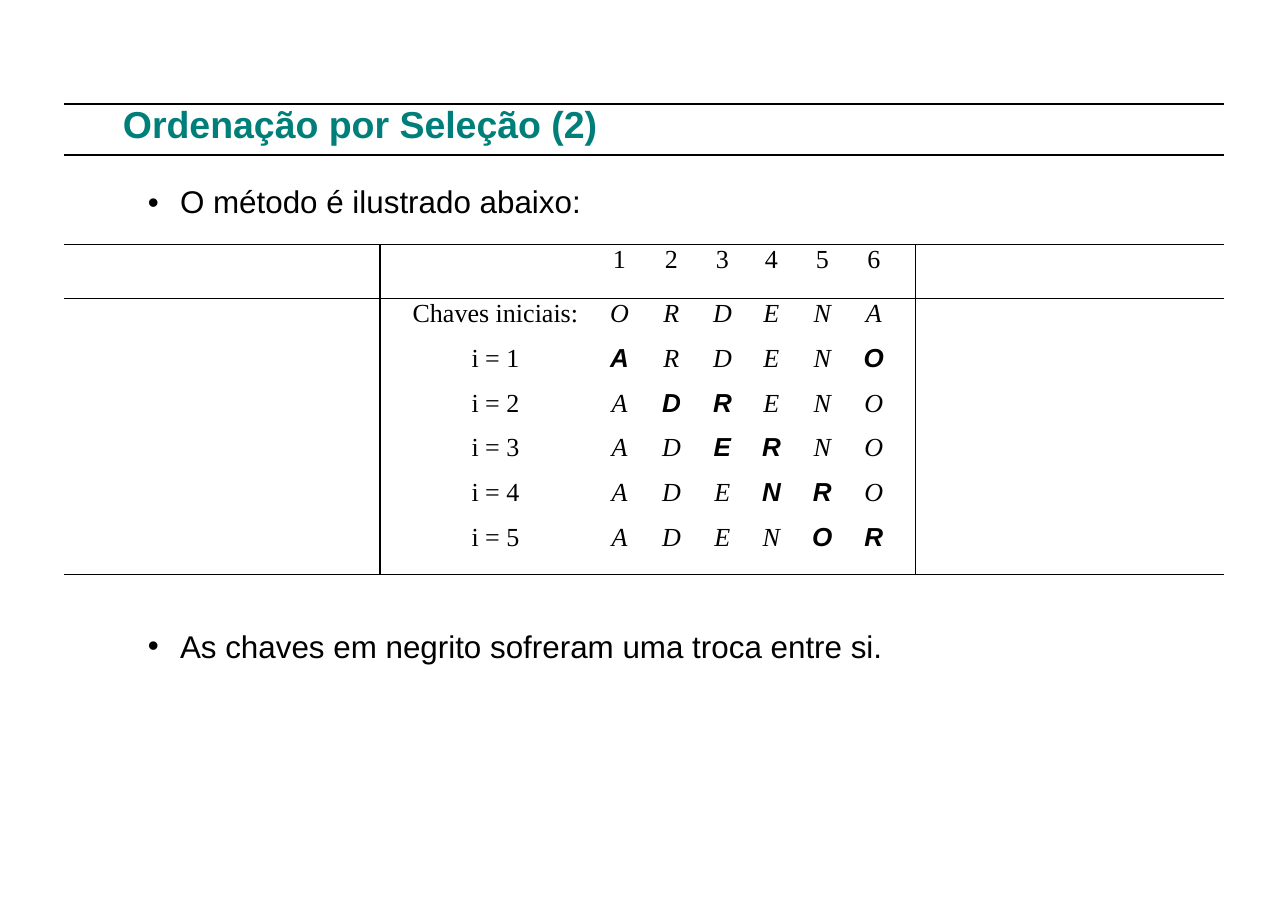
"""Builds the slide on selection sort with its trace table."""
from lxml import etree
from pptx import Presentation
from pptx.dml.color import RGBColor
from pptx.enum.shapes import MSO_CONNECTOR
from pptx.enum.text import MSO_ANCHOR, PP_ALIGN
from pptx.oxml.ns import qn
from pptx.util import Pt

STRAIGHT = MSO_CONNECTOR.STRAIGHT
TOP = MSO_ANCHOR.TOP
CENTER = PP_ALIGN.CENTER

BLACK = RGBColor(0x00, 0x00, 0x00)
TEAL = RGBColor(0x00, 0x7F, 0x7A)
SANS, SERIF = "Arial", "Times New Roman"

SCALE = 8298
TABLE_LEFT, TABLE_TOP = 64, 36
COLUMN_WIDTHS = [543, 39, 51, 51, 51, 51, 374]
ROW_HEIGHTS = [68, 51, 90, 54, 45, 45, 44, 45, 45, 52]
RIGHT_MARGINS = [0, 14, 0, 0, 4, 4, 326]
LABEL_INDENT = 320
TITLE_ROW, METHOD_ROW, TRACE_ROW = 1, 2, 3
THIN, THICK = 0.69, 1.73
EDGE_WEIGHTS = {1: THICK, 2: THICK, 3: THIN, 4: THIN, 10: THIN}

TRACE = [
    ("", "123456", ()),
    ("Chaves iniciais:", "ORDENA", ()),
    ("i = 1", "ARDENO", (1, 6)),
    ("i = 2", "ADRENO", (2, 3)),
    ("i = 3", "ADERNO", (3, 4)),
    ("i = 4", "ADENRO", (4, 5)),
    ("i = 5", "ADENOR", (5, 6)),
]


def px(length):
    """Turn whole pixels into EMU."""
    return length * SCALE


def style(paragraph, size, face, color=BLACK, bold=False, italic=False):
    """Set the font of a whole paragraph."""
    font = paragraph.font
    font.size, font.name = Pt(size), face
    font.bold, font.italic = bold, italic
    font.color.rgb = color


def clear_margins(holder):
    """Remove the inner margins of a text frame or cell."""
    holder.margin_left = holder.margin_right = 0
    holder.margin_top = holder.margin_bottom = 0
    holder.vertical_anchor = TOP


def add_divider(slide, x, top, bottom):
    """Draw a thin vertical line beside the keys."""
    divider = slide.shapes.add_connector(
        STRAIGHT, px(x), px(top), px(x), px(bottom))
    divider.line.color.rgb = BLACK
    divider.line.width = Pt(THIN)
    etree.SubElement(divider._element.spPr, qn("a:effectLst"))


def write_bullet(paragraph, text, indent):
    """Fill a paragraph with a bulleted statement."""
    paragraph.text = text
    properties = paragraph._p.get_or_add_pPr()
    properties.set("marL", str(px(indent)))
    properties.set("indent", str(px(-32)))
    etree.SubElement(properties, qn("a:buFont"), typeface=SANS)
    etree.SubElement(properties, qn("a:buChar"), char="•")
    style(paragraph, 20.5, SANS)


def set_borders(cell, row):
    """Rule the cell's top and bottom where the table has a line."""
    properties = cell._tc.get_or_add_tcPr()
    weights = {"lnL": None, "lnR": None,
               "lnT": EDGE_WEIGHTS.get(row), "lnB": EDGE_WEIGHTS.get(row + 1)}
    for side, weight in weights.items():
        line = etree.SubElement(properties, qn(f"a:{side}"))
        if weight:
            line.set("w", str(Pt(weight)))
            fill = etree.SubElement(line, qn("a:solidFill"))
            etree.SubElement(fill, qn("a:srgbClr"), val=str(BLACK))
        else:
            etree.SubElement(line, qn("a:noFill"))


def add_grid(slide):
    """Add the ruled, unfilled table that carries title, method and trace."""
    table = slide.shapes.add_table(
        len(ROW_HEIGHTS), len(COLUMN_WIDTHS), px(TABLE_LEFT), px(TABLE_TOP),
        px(sum(COLUMN_WIDTHS)), px(sum(ROW_HEIGHTS))).table
    table.first_row = table.horz_banding = False
    for column, width in zip(table.columns, COLUMN_WIDTHS):
        column.width = px(width)
    for index, (row, height) in enumerate(zip(table.rows, ROW_HEIGHTS)):
        row.height = px(height)
        for cell in row.cells:
            clear_margins(cell)
            set_borders(cell, index)
            cell.fill.background()
    return table


def write_title(cell, text):
    """Write the heading between the two thick rules."""
    cell.margin_left = px(59)
    cell.text = text
    heading = cell.text_frame.paragraphs[0]
    heading.line_spacing = Pt(27.9)
    style(heading, 24.5, SANS, TEAL, bold=True)


def write_trace(table):
    """Write the keys after each pass, with swapped keys in bold."""
    for row, (label, keys, swapped) in enumerate(TRACE):
        for column, text in enumerate([label, *keys]):
            cell = table.cell(TRACE_ROW + row, column)
            cell.margin_left = px(0 if column else LABEL_INDENT)
            cell.margin_right = px(RIGHT_MARGINS[column])
            cell.text = text
            entry = cell.text_frame.paragraphs[0]
            entry.alignment = CENTER
            bold = column in swapped
            style(entry, 17, SANS if bold else SERIF, bold=bold,
                  italic=row > 0 and column > 0)


def add_conclusion(slide, text):
    """Add the bulleted remark below the table."""
    box = slide.shapes.add_textbox(px(148), px(627), px(742), px(41))
    frame = box.text_frame
    frame.word_wrap = True
    clear_margins(frame)
    write_bullet(frame.paragraphs[0], text, 32)


def main():
    """Build and save the slide."""
    deck = Presentation()
    deck.slide_width, deck.slide_height = px(1288), px(910)
    slide = deck.slides.add_slide(deck.slide_layouts[6])
    trace_top = TABLE_TOP + sum(ROW_HEIGHTS[:TRACE_ROW])
    for x in (380, 916):
        add_divider(slide, x, trace_top, TABLE_TOP + sum(ROW_HEIGHTS))
    add_conclusion(slide, "As chaves em negrito sofreram uma troca entre si.")
    table = add_grid(slide)
    write_title(table.cell(TITLE_ROW, 0), "Ordenação por Seleção (2)")
    method = table.cell(METHOD_ROW, 0)
    method.margin_top = px(30)
    write_bullet(method.text_frame.paragraphs[0],
                 "O método é ilustrado abaixo:", 116)
    write_trace(table)
    deck.save("out.pptx")


if __name__ == "__main__":
    main()
